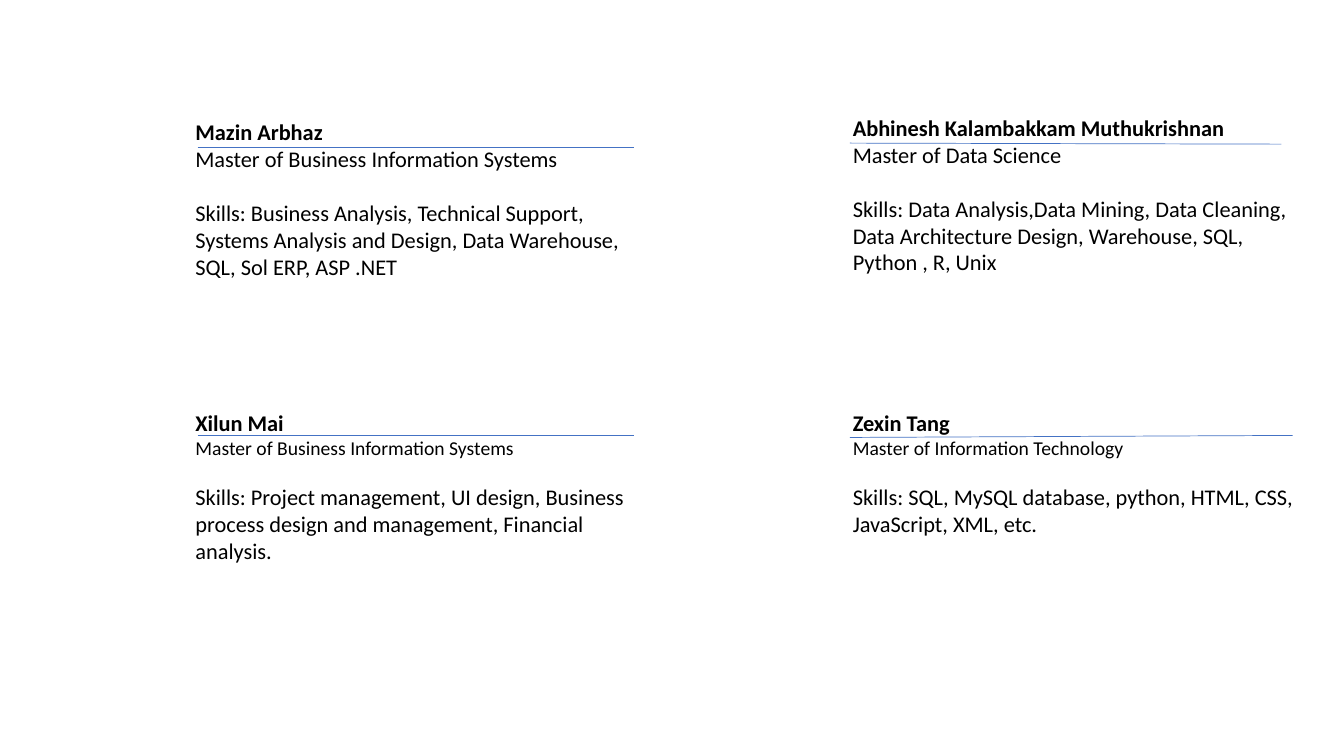
import pptx
import pptx.dml.color
import pptx.enum.shapes
import pptx.oxml
import pptx.util

Inches = pptx.util.Inches
Pt = pptx.util.Pt


def tint(code):
    return pptx.dml.color.RGBColor.from_string(code)


class Deck:
    """Draws profile cards and rules on one slide in a shared style."""

    font = "Calibri"
    ink = "000000"
    blue = "4472C4"
    size = 16

    def __init__(self):
        self.file = pptx.Presentation()
        self.file.slide_width = Inches(13.33)
        self.file.slide_height = Inches(7.5)
        self.slide = self.file.slides.add_slide(self.file.slide_layouts[6])

    def card(self, left, top, high, name, degree, small, skills):
        box = self.slide.shapes.add_textbox(
            Inches(left), Inches(top), Inches(4.6), Inches(high))
        frame = box.text_frame
        frame.word_wrap = True
        frame.text = "\n".join((name, degree, skills))
        for part, size in zip(frame.paragraphs, (self.size, small, self.size)):
            for run in part.runs:
                run.font.name = self.font
                run.font.size = Pt(size)
                run.font.color.rgb = tint(self.ink)
        frame.paragraphs[0].runs[0].font.bold = True
        frame.paragraphs[2].space_before = Pt(round(small * 1.22, 1))

    def rule(self, x, y, end, drop):
        line = self.slide.shapes.add_connector(
            pptx.enum.shapes.MSO_CONNECTOR.STRAIGHT,
            Inches(x), Inches(y), Inches(end), Inches(drop))
        line.line.color.rgb = tint(self.blue)
        line.line.width = Pt(0.5)
        props = line._element.spPr
        props.append(props.makeelement(pptx.oxml.ns.qn("a:effectLst"), {}))

    def save(self):
        self.file.save("out.pptx")


def main():
    west, east, low = 1.84, 8.36, 4.01
    team = [
        (west, 1.12, 2.02, "Mazin Arbhaz",
         "Master of Business Information Systems", 16,
         "Skills: Business Analysis, Technical Support, Systems Analysis "
         "and Design, Data Warehouse, SQL, Sol ERP, ASP .NET"),
        (east, 1.08, 2.02, "Abhinesh Kalambakkam Muthukrishnan",
         "Master of Data Science", 16,
         "Skills: Data Analysis,Data Mining, Data Cleaning, Data "
         "Architecture Design, Warehouse, SQL, Python , R, Unix"),
        (west, low, 1.65, "Xilun Mai",
         "Master of Business Information Systems", 14,
         "Skills: Project management, UI design, Business process design "
         "and management, Financial analysis."),
        (east, low, 1.38, "Zexin Tang",
         "Master of Information Technology", 14,
         "Skills: SQL, MySQL database, python, HTML, CSS, JavaScript, "
         "XML, etc."),
    ]
    rules = [
        (1.96, 1.46, 6.29, 1.46),
        (8.43, 1.42, 12.71, 1.43),
        (1.96, 4.32, 6.29, 4.32),
        (8.43, 4.34, 12.82, 4.32),
    ]
    deck = Deck()
    for row in team:
        deck.card(*row)
    for row in rules:
        deck.rule(*row)
    deck.save()


if __name__ == "__main__":
    main()
